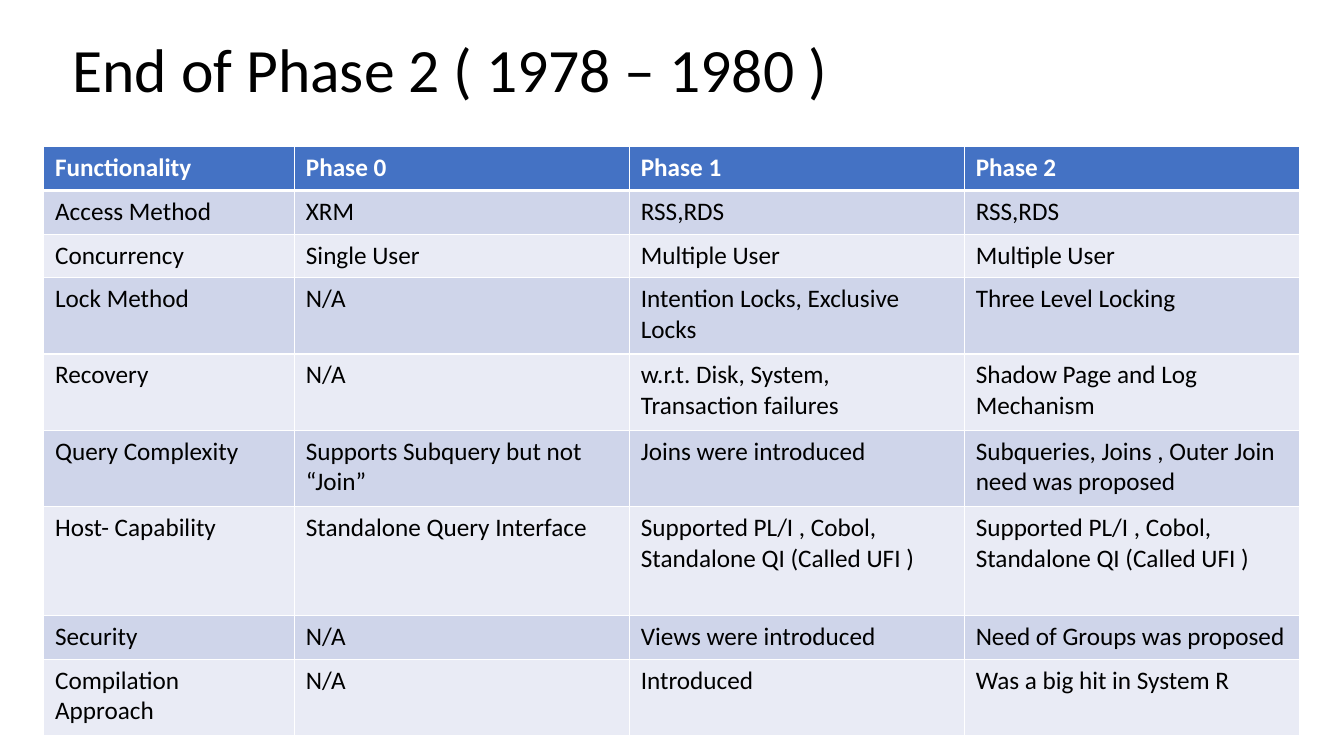
from lxml import etree
from pptx import Presentation
from pptx import util as u
from pptx.dml.color import RGBColor
from pptx.enum import text as t
from pptx.oxml import ns

BLACK = RGBColor(0x00, 0x00, 0x00)
WHITE = RGBColor(0xFF, 0xFF, 0xFF)
HEADER_BLUE = RGBColor(0x44, 0x72, 0xC4)
BANDS = (RGBColor(0xCF, 0xD5, 0xEA), RGBColor(0xE9, 0xEB, 0xF5))

FONT = "Calibri"
COLUMN_WIDTHS = (6.32, 8.44, 8.44, 8.44)
ONE_LINE, TWO_LINES, THREE_LINES = 1.1, 1.92, 2.75

HEADER = ("Functionality", "Phase 0", "Phase 1", "Phase 2")
UFI_SUPPORT = "Supported PL/I , Cobol, Standalone QI (Called UFI )"
ROWS = (
    (ONE_LINE, HEADER),
    (ONE_LINE, ("Access Method", "XRM", "RSS,RDS", "RSS,RDS")),
    (ONE_LINE, ("Concurrency", "Single User", "Multiple User", "Multiple User")),
    (TWO_LINES, ("Lock Method", "N/A", "Intention Locks, Exclusive Locks",
                 "Three Level Locking")),
    (TWO_LINES, ("Recovery", "N/A", "w.r.t. Disk, System, Transaction failures",
                 "Shadow Page and Log Mechanism")),
    (TWO_LINES, ("Query Complexity", "Supports Subquery but not “Join”",
                 "Joins were introduced",
                 "Subqueries, Joins , Outer Join need was proposed")),
    (THREE_LINES, ("Host- Capability", "Standalone Query Interface",
                   UFI_SUPPORT, UFI_SUPPORT)),
    (ONE_LINE, ("Security", "N/A", "Views were introduced",
                "Need of Groups was proposed")),
    (TWO_LINES, ("Compilation Approach", "N/A", "Introduced",
                 "Was a big hit in System R")),
)


def write_text(frame, words, size=18, color=BLACK, bold=False, spacing=None):
    para = frame.paragraphs[0]
    para.line_spacing = spacing
    span = para.add_run()
    span.text = words
    span.font.name = FONT
    span.font.size = u.Pt(size)
    span.font.bold = bold
    span.font.color.rgb = color


def add_title(page, words):
    box = page.shapes.add_textbox(u.Cm(1.58), u.Cm(0), u.Cm(29.2), u.Cm(3.68))
    frame = box.text_frame
    frame.word_wrap = True
    frame.vertical_anchor = t.MSO_ANCHOR.MIDDLE
    write_text(frame, words, size=44, spacing=0.9)


def set_borders(cell, color, **widths):
    properties = cell._tc.get_or_add_tcPr()
    for position, side in enumerate("LRTB"):
        line = etree.Element(ns.qn(f"a:ln{side}"), w=str(u.Pt(widths.get(side, 1))))
        fill = etree.SubElement(line, ns.qn("a:solidFill"))
        etree.SubElement(fill, ns.qn("a:srgbClr"), val=str(color))
        properties.insert(position, line)


def fill_cell(cell, words, row):
    is_header = row == 0
    cell.margin_left = cell.margin_right = u.Cm(0.29)
    cell.margin_top = cell.margin_bottom = u.Cm(0.15)
    cell.fill.solid()
    cell.fill.fore_color.rgb = HEADER_BLUE if is_header else BANDS[(row - 1) % 2]
    set_borders(cell, WHITE, B=3 if row == 0 else 1, T=3 if row == 1 else 1)
    write_text(cell.text_frame, words, color=WHITE if is_header else BLACK,
               bold=is_header)


def add_phase_table(page):
    heights = [height for height, _ in ROWS]
    table = page.shapes.add_table(
        len(ROWS), len(HEADER), u.Cm(1.1), u.Cm(3.7),
        u.Cm(sum(COLUMN_WIDTHS)), u.Cm(sum(heights))).table
    for column, width in zip(table.columns, COLUMN_WIDTHS):
        column.width = u.Cm(width)
    for row, (height, entries) in enumerate(ROWS):
        table.rows[row].height = u.Cm(height)
        for column, words in enumerate(entries):
            fill_cell(table.cell(row, column), words, row)


def main():
    deck = Presentation()
    deck.slide_width = u.Cm(33.87)
    deck.slide_height = u.Cm(19.05)
    page = deck.slides.add_slide(deck.slide_layouts[6])
    add_title(page, "End of Phase 2 ( 1978 – 1980 )")
    add_phase_table(page)
    deck.save("out.pptx")


if __name__ == "__main__":
    main()
